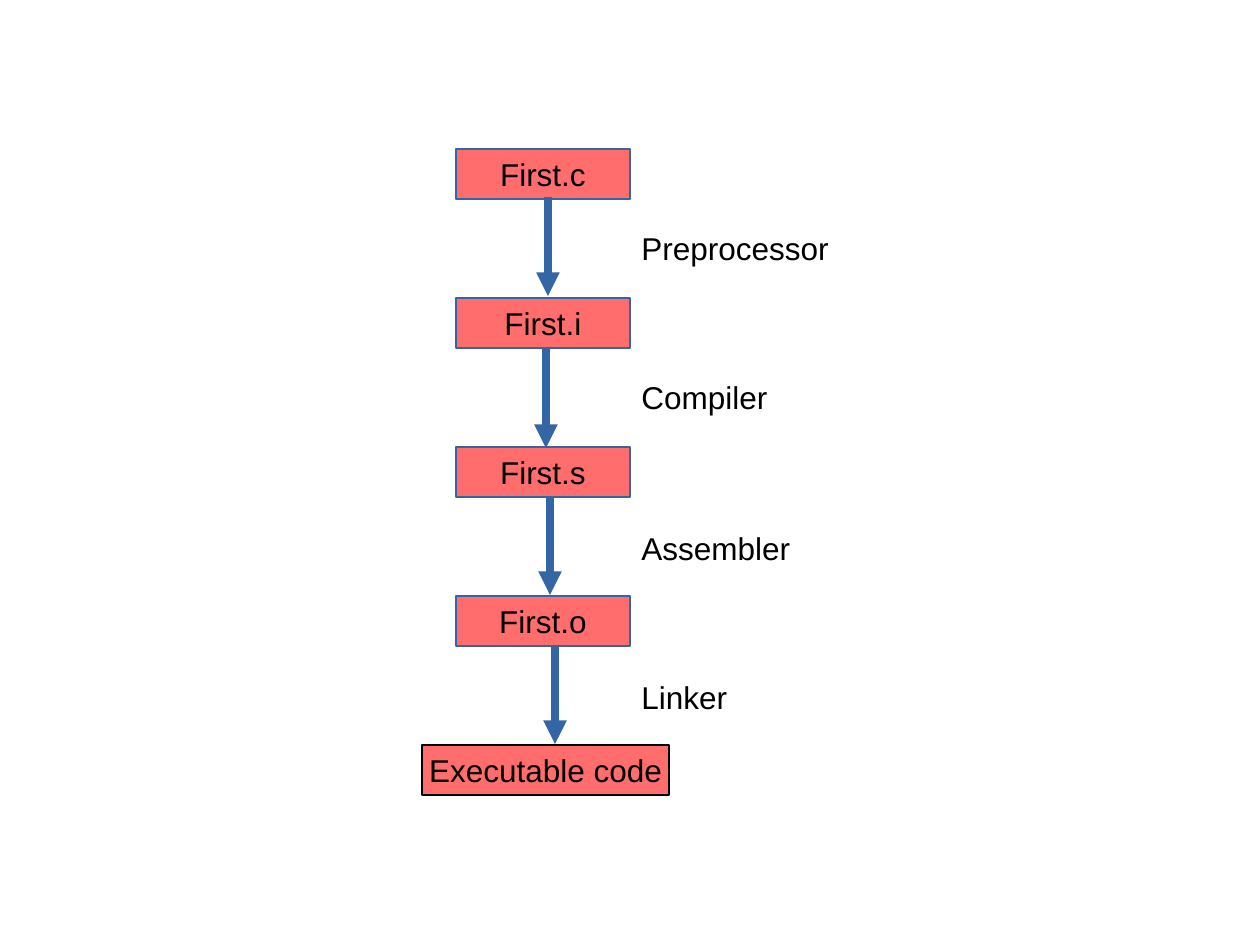
from dataclasses import dataclass
from typing import Any

from lxml import etree
from pptx import Presentation
from pptx import util as u
from pptx.dml.color import RGBColor
from pptx.enum import shapes, text
from pptx.oxml.ns import qn

PIXELS_PER_INCH = 126
COLORS = {"box": "FF6D6D", "blue": "3465A4", "black": "000000"}
FONT_FORMAT = {"name": "Arial", "size": u.Pt(18)}

STEP = 149  # distance from one stage to the next
BOX_HEIGHT = 50
ARROW_LENGTH = 99


@dataclass(frozen=True)
class Stage:
    caption: str
    left: int = 456
    width: int = 174
    border: str = "blue"
    border_points: float = 0


@dataclass(frozen=True)
class Tool:
    name: str
    label_top: int
    arrow_x: int
    arrow_top: int


STAGES = [
    Stage("First.c"),
    Stage("First.i"),
    Stage("First.s"),
    Stage("First.o"),
    Stage("Executable code", 422, 247, "black", 0.85),
]
TOOLS = [
    Tool("Preprocessor", 223, 548, 197),
    Tool("Compiler", 372, 546, 349),
    Tool("Assembler", 523, 550, 496),
    Tool("Linker", 672, 555, 645),
]


def px(length: int) -> u.Emu:
    return u.Emu(round(length * u.Inches(1) / PIXELS_PER_INCH))


def color(name: str) -> RGBColor:
    return RGBColor.from_string(COLORS[name])


def write(shape: Any, words: str, alignment: Any, anchor: Any, wrap: bool) -> None:
    frame = shape.text_frame
    frame.word_wrap = wrap
    frame.vertical_anchor = anchor
    paragraph = frame.paragraphs[0]
    paragraph.text = words
    paragraph.alignment = alignment
    for attribute, value in FONT_FORMAT.items():
        setattr(paragraph.font, attribute, value)
    paragraph.font.color.rgb = color("black")


def draw_stage(slide: Any, stage: Stage, top: int) -> None:
    shape = slide.shapes.add_shape(
        shapes.MSO_SHAPE.RECTANGLE,
        px(stage.left), px(top), px(stage.width), px(BOX_HEIGHT),
    )
    shape.shadow.inherit = False
    shape.fill.solid()
    shape.fill.fore_color.rgb = color("box")
    shape.line.color.rgb = color(stage.border)
    shape.line.width = u.Pt(stage.border_points)
    write(shape, stage.caption, text.PP_ALIGN.CENTER, text.MSO_ANCHOR.MIDDLE, False)


def draw_arrow(slide: Any, tool: Tool) -> None:
    x = px(tool.arrow_x)
    arrow = slide.shapes.add_connector(
        shapes.MSO_CONNECTOR.STRAIGHT,
        x, px(tool.arrow_top), x, px(tool.arrow_top + ARROW_LENGTH),
    )
    arrow.line.color.rgb = color("blue")
    arrow.line.width = u.Pt(4.5)
    etree.SubElement(arrow.line._get_or_add_ln(), qn("a:tailEnd"), type="triangle")
    etree.SubElement(arrow._element.spPr, qn("a:effectLst"))


def draw_label(slide: Any, tool: Tool) -> None:
    label = slide.shapes.add_textbox(px(629), px(tool.label_top), px(248), px(BOX_HEIGHT))
    write(label, tool.name, text.PP_ALIGN.LEFT, text.MSO_ANCHOR.TOP, True)


def main() -> None:
    presentation = Presentation()
    presentation.slide_width = px(1260)
    presentation.slide_height = px(945)
    slide = presentation.slides.add_slide(presentation.slide_layouts[6])

    # Files, from source code to program
    for index, stage in enumerate(STAGES):
        draw_stage(slide, stage, STEP * (index + 1))

    # Tools that turn each file into the next
    for tool in TOOLS:
        draw_arrow(slide, tool)
        draw_label(slide, tool)

    presentation.save("out.pptx")


if __name__ == "__main__":
    main()
